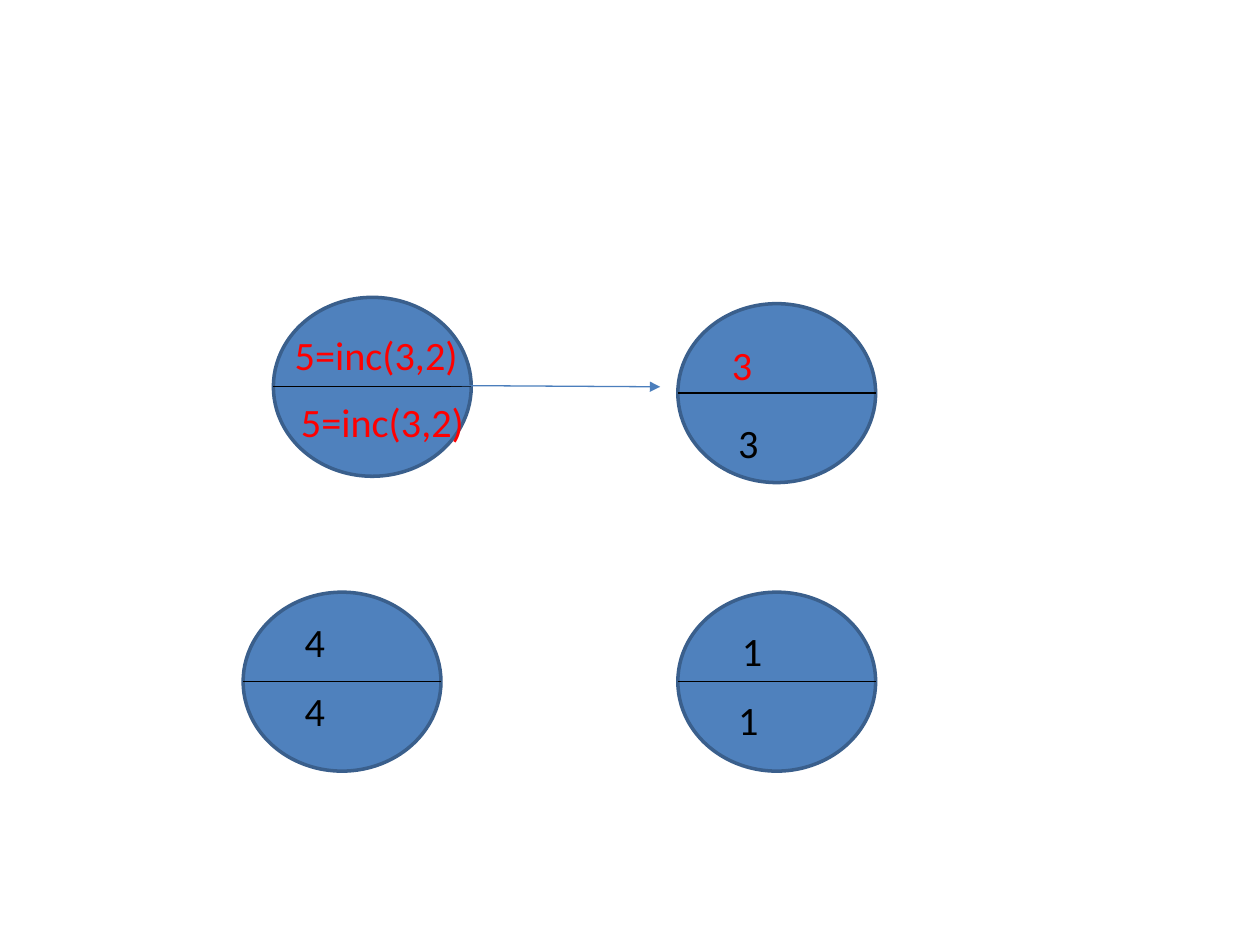
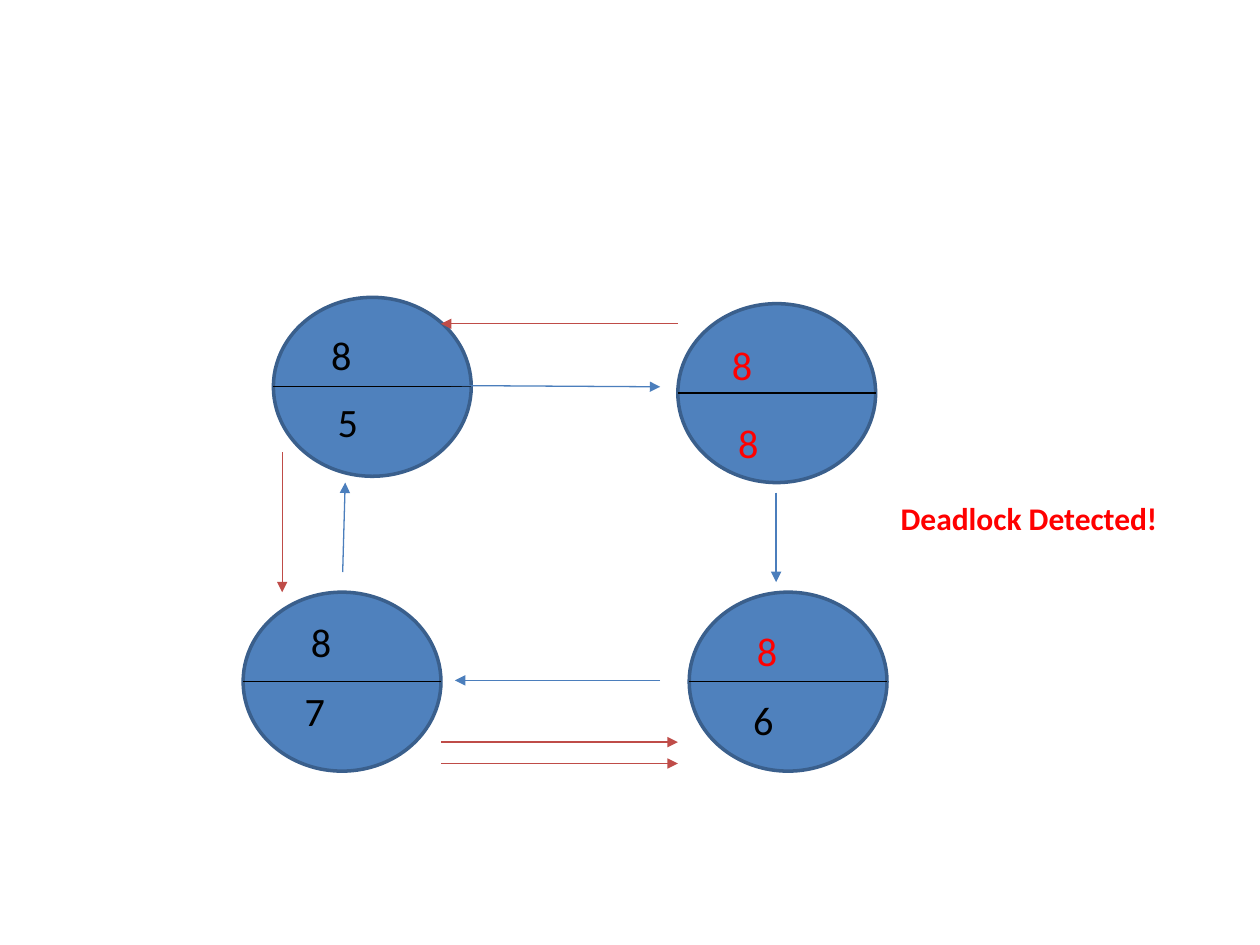
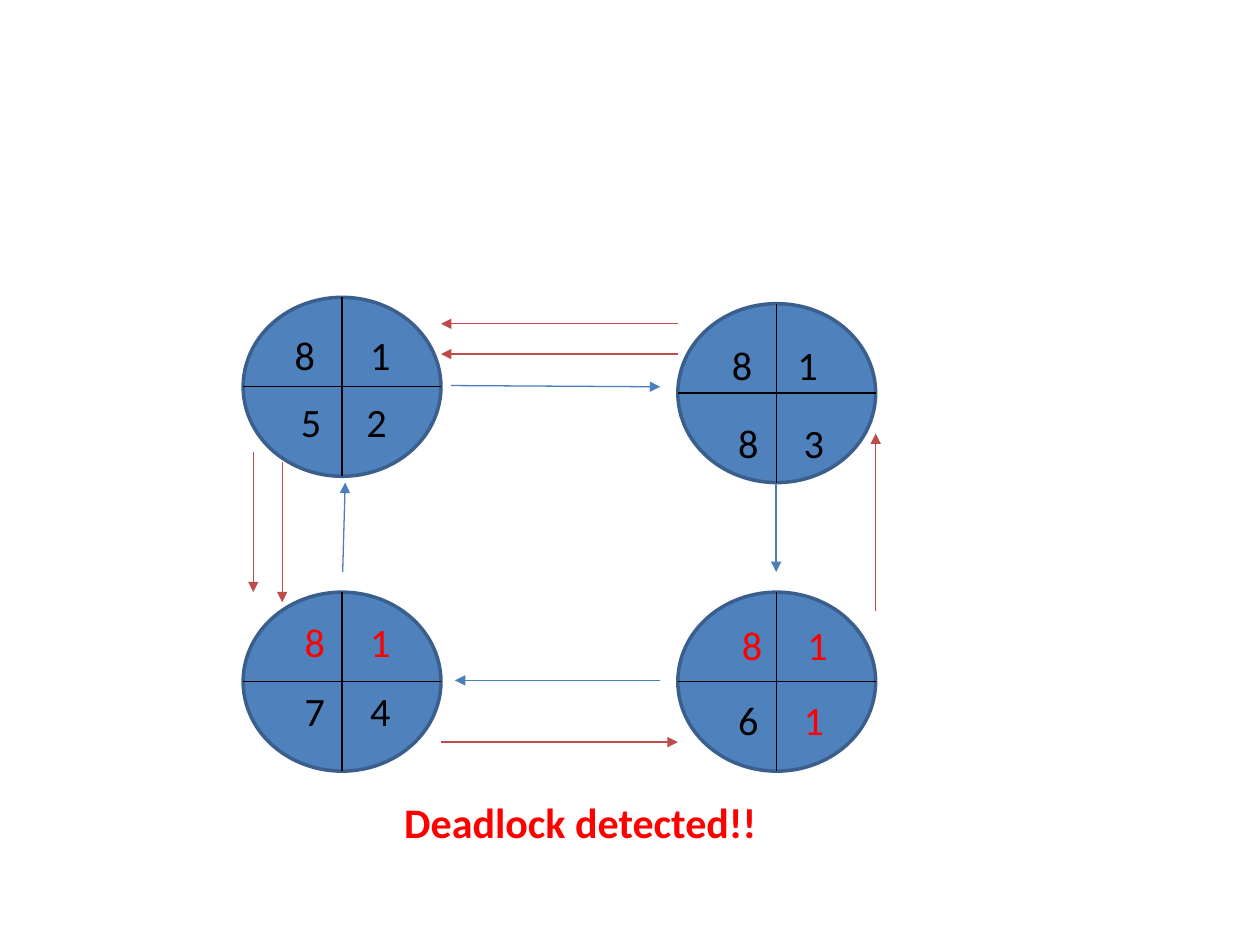
from dataclasses import dataclass

from lxml import etree
from pptx import Presentation
from pptx.dml.color import RGBColor
from pptx.enum.shapes import MSO_CONNECTOR, MSO_SHAPE
from pptx.oxml.ns import qn
from pptx.slide import Slide
from pptx.util import Inches, Pt

STRAIGHT = MSO_CONNECTOR.STRAIGHT
OVAL = MSO_SHAPE.OVAL

NODE_FILL = RGBColor(0x4F, 0x81, 0xBD)
NODE_EDGE = RGBColor(0x3A, 0x5F, 0x8C)
REQUEST_BLUE = RGBColor(0x4B, 0x7E, 0xBC)
PROBE_RED = RGBColor(0xBF, 0x4C, 0x48)
BLACK = RGBColor(0, 0, 0)
RED = RGBColor(0xFF, 0, 0)

FONT = "Calibri"
NODE_WIDTH, NODE_HEIGHT = 1.57, 1.42
PAIR_TAB = 0.52  # distance between the two numbers of a row


@dataclass(frozen=True)
class Node:
    left: float
    top: float


@dataclass(frozen=True)
class Label:
    left: float
    top: float
    width: float
    text: str
    color: RGBColor = BLACK
    partner: str = ""
    partner_color: RGBColor = BLACK
    indent: float = 0
    tab: float = PAIR_TAB
    size: float = 23
    bold: bool = False
    height: float = 0.49


@dataclass(frozen=True)
class Arrow:
    x1: float
    y1: float
    x2: float
    y2: float
    color: RGBColor = REQUEST_BLUE


@dataclass(frozen=True)
class Stage:
    nodes: list[Node]
    labels: list[Label]
    arrows: list[Arrow]
    quartered: bool = False


# Nodes shared by the stages
TOP_LEFT = Node(2.17, 2.36)
TOP_LEFT_ALIGNED = Node(1.93, 2.36)
TOP_RIGHT = Node(5.38, 2.41)
BOTTOM_LEFT = Node(1.93, 4.7)
BOTTOM_RIGHT = Node(5.38, 4.7)
BOTTOM_RIGHT_SHIFTED = Node(5.47, 4.7)

# Arrows shared by the stages
REQUEST_TOP = Arrow(3.58, 3.06, 5.24, 3.07)
REQUEST_BOTTOM = Arrow(5.24, 5.4, 3.61, 5.4)
REQUEST_LEFT = Arrow(2.72, 4.54, 2.74, 3.83)
PROBE_TOP = Arrow(5.38, 2.57, 3.5, 2.57, PROBE_RED)
PROBE_BOTTOM = Arrow(3.5, 5.89, 5.38, 5.89, PROBE_RED)

STAGES = [
    # First request raises the waiting node's numbers
    Stage(
        nodes=[TOP_LEFT, BOTTOM_RIGHT, BOTTOM_LEFT, TOP_RIGHT],
        labels=[
            Label(2.24, 2.57, 1.88, "5=inc(3,2)", RED),
            Label(2.29, 3.1, 1.88, "5=inc(3,2)", RED, height=0.88),
            Label(5.76, 3.27, 0.73, "3"),
            Label(5.71, 2.65, 0.36, "3", RED),
            Label(5.79, 4.92, 0.73, "1"),
            Label(5.76, 5.47, 0.73, "1"),
            Label(2.32, 5.4, 0.73, "4"),
            Label(2.32, 4.85, 0.73, "4"),
        ],
        arrows=[REQUEST_TOP],
    ),
    # The largest number travels round the cycle
    Stage(
        nodes=[TOP_LEFT, BOTTOM_RIGHT_SHIFTED, BOTTOM_LEFT, TOP_RIGHT],
        labels=[
            Label(2.24, 2.57, 0.66, "8", indent=0.29),
            Label(2.29, 3.1, 0.95, "5", indent=0.29),
            Label(5.76, 3.27, 0.36, "8", RED),
            Label(5.71, 2.65, 0.36, "8", RED),
            Label(5.55, 4.92, 0.73, "8", RED, indent=0.36),
            Label(5.52, 5.47, 1.03, "6", indent=0.36),
            Label(2.32, 5.4, 0.66, "7"),
            Label(2.01, 4.85, 0.73, "8", indent=0.36),
            Label(7.05, 3.91, 2.26, "Deadlock Detected!", RED,
                  size=18, bold=True, height=0.4),
        ],
        arrows=[
            REQUEST_TOP, REQUEST_BOTTOM, REQUEST_LEFT, PROBE_BOTTOM,
            Arrow(6.16, 3.91, 6.16, 4.62),
            PROBE_TOP,
            Arrow(2.24, 3.59, 2.24, 4.7, PROBE_RED),
            Arrow(3.5, 6.06, 5.38, 6.06, PROBE_RED),
        ],
    ),
    # Number pairs with priorities
    Stage(
        nodes=[TOP_LEFT_ALIGNED, BOTTOM_RIGHT, BOTTOM_LEFT, TOP_RIGHT],
        labels=[
            Label(2.24, 2.57, 0.97, "8", partner="1", tab=0.6),
            Label(2.29, 3.1, 1.26, "5", partner="2"),
            Label(5.76, 3.27, 0.9, "8", partner="3"),
            Label(5.71, 2.65, 1.19, "8", partner="1"),
            Label(5.79, 4.87, 0.9, "8", RED, "1", RED),
            Label(5.76, 5.47, 0.9, "6", BLACK, "1", RED),
            Label(2.32, 5.4, 0.9, "7", partner="4"),
            Label(2.32, 4.85, 0.9, "8", RED, "1", RED),
            Label(3.11, 6.27, 3.03, "Deadlock detected!!", RED,
                  size=24, bold=True, height=0.5),
        ],
        arrows=[
            REQUEST_TOP, REQUEST_LEFT, REQUEST_BOTTOM,
            Arrow(6.16, 3.83, 6.16, 4.54),
            PROBE_TOP,
            Arrow(2.01, 3.59, 2.01, 4.7, PROBE_RED),
            PROBE_BOTTOM,
            Arrow(6.95, 4.85, 6.95, 3.44, PROBE_RED),
            Arrow(5.38, 2.81, 3.5, 2.81, PROBE_RED),
            Arrow(2.24, 3.67, 2.24, 4.78, PROBE_RED),
        ],
        quartered=True,
    ),
]


def draw_line(slide: Slide, line: Arrow, arrowhead: bool) -> None:
    connector = slide.shapes.add_connector(
        STRAIGHT, Inches(line.x1), Inches(line.y1), Inches(line.x2), Inches(line.y2))
    connector.line.color.rgb = line.color
    connector.line.width = Pt(0.75)
    properties = connector._element.spPr
    if arrowhead:
        etree.SubElement(properties.find(qn("a:ln")), qn("a:tailEnd"), type="triangle")
    etree.SubElement(properties, qn("a:effectLst"))


def draw_node(slide: Slide, node: Node, quartered: bool) -> None:
    circle = slide.shapes.add_shape(
        OVAL, Inches(node.left), Inches(node.top), Inches(NODE_WIDTH), Inches(NODE_HEIGHT))
    circle.shadow.inherit = False
    circle.fill.solid()
    circle.fill.fore_color.rgb = NODE_FILL
    circle.line.color.rgb = NODE_EDGE
    circle.line.width = Pt(2)

    # Dividers
    middle_x = node.left + NODE_WIDTH / 2
    middle_y = node.top + NODE_HEIGHT / 2
    if quartered:
        draw_line(slide, Arrow(middle_x, node.top, middle_x, node.top + NODE_HEIGHT, BLACK), False)
    draw_line(slide, Arrow(node.left, middle_y, node.left + NODE_WIDTH, middle_y, BLACK), False)


def draw_label(slide: Slide, label: Label) -> None:
    box = slide.shapes.add_textbox(
        Inches(label.left), Inches(label.top), Inches(label.width), Inches(label.height))
    box.text_frame.word_wrap = True
    paragraph = box.text_frame.paragraphs[0]
    properties = paragraph._p.get_or_add_pPr()
    parts = [(label.text, label.color)]
    if label.indent:
        properties.set("marL", str(Inches(label.indent)))
        properties.set("indent", "0")
    if label.partner:
        stops = etree.SubElement(properties, qn("a:tabLst"))
        etree.SubElement(stops, qn("a:tab"), pos=str(Inches(label.tab)), algn="l")
        parts.append(("\t" + label.partner, label.partner_color))
    for text, color in parts:
        run = paragraph.add_run()
        run.text = text
        run.font.name = FONT
        run.font.size = Pt(label.size)
        run.font.bold = label.bold
        run.font.color.rgb = color


def main() -> None:
    presentation = Presentation()
    presentation.slide_width = Inches(10)
    presentation.slide_height = Inches(7.5)
    blank = presentation.slide_layouts[6]
    for stage in STAGES:
        slide = presentation.slides.add_slide(blank)
        for node in stage.nodes:
            draw_node(slide, node, stage.quartered)
        for label in stage.labels:
            draw_label(slide, label)
        for arrow in stage.arrows:
            draw_line(slide, arrow, True)
    presentation.save("out.pptx")


if __name__ == "__main__":
    main()
